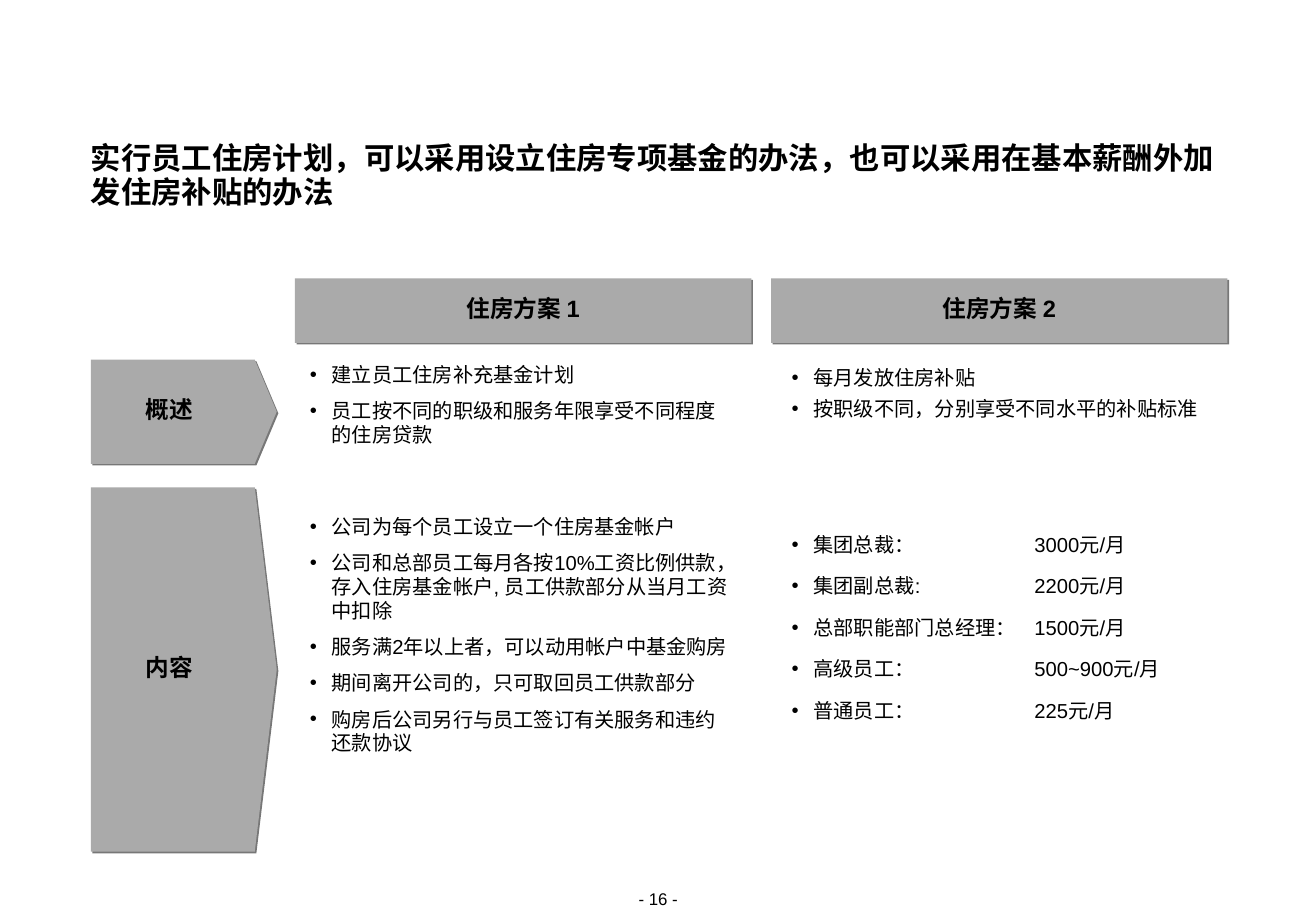
from dataclasses import dataclass

from lxml.etree import SubElement
from pptx import Presentation
from pptx.dml.color import RGBColor
from pptx.enum.shapes import MSO_SHAPE
from pptx.enum.text import MSO_ANCHOR, MSO_AUTO_SIZE, PP_ALIGN
from pptx.oxml.ns import qn
from pptx.shapes.autoshape import Shape
from pptx.slide import Slide
from pptx.text.text import TextFrame
from pptx.util import Cm, Length, Pt

FONT = "Arial"
BLACK, PANEL_GREY, SHADOW_GREY = "000000", "AAAAAA", "777777"
LEFT_MARGIN = 1.9
HEADER_TOP, HEADER_WIDTH, HEADER_HEIGHT = 5.82, 9.55, 1.35
ROW_WIDTH, ROW_TIP = 3.89, 0.46
LIST_WIDTH, LIST_INDENT, AMOUNT_TAB = 8.92, 0.46, 5.08


@dataclass(frozen=True)
class PlanHeader:
    text: str
    left: float


@dataclass(frozen=True)
class RowLabel:
    text: str
    top: float
    height: float


@dataclass(frozen=True)
class BulletList:
    placeholder: int
    left: float
    top: float
    height: float
    space_before: float
    items: tuple[str, ...]
    line_spacing: Length | float = Pt(14)
    anchor: MSO_ANCHOR = MSO_ANCHOR.MIDDLE


HEADERS = (PlanHeader("住房方案 1", 6.17), PlanHeader("住房方案 2", 16.13))
ROWS = (RowLabel("概述", 7.52, 2.18), RowLabel("内容", 10.19, 7.62))
LISTS = (
    BulletList(1, 6.48, 7.59, 1.75, 7.5, (
        "建立员工住房补充基金计划",
        "员工按不同的职级和服务年限享受不同程度的住房贷款",
    )),
    BulletList(3, 16.56, 7.65, 1.14, 4.5, (
        "每月发放住房补贴",
        "按职级不同，分别享受不同水平的补贴标准",
    )),
    BulletList(2, 6.48, 10.77, 5.49, 7.5, (
        "公司为每个员工设立一个住房基金帐户",
        "公司和总部员工每月各按10%工资比例供款，存入住房基金帐户, 员工供款部分从当月工资中扣除",
        "服务满2年以上者，可以动用帐户中基金购房",
        "期间离开公司的，只可取回员工供款部分",
        "购房后公司另行与员工签订有关服务和违约还款协议",
    ), anchor=MSO_ANCHOR.TOP),
    BulletList(4, 16.56, 10.92, 4.19, 4.5, (
        "集团总裁：\t3000元/月",
        "集团副总裁:\t2200元/月",
        "总部职能部门总经理：\t1500元/月",
        "高级员工：\t500~900元/月",
        "普通员工：\t225元/月",
    ), line_spacing=1.4, anchor=MSO_ANCHOR.TOP),
)


def colour(value: str) -> RGBColor:
    return RGBColor.from_string(value)


def place(shape: Shape, left: float, top: float, width: float, height: float) -> None:
    shape.left, shape.top = Cm(left), Cm(top)
    shape.width, shape.height = Cm(width), Cm(height)


def write(frame: TextFrame, *texts: str, size: float, bold: bool = False,
          align: PP_ALIGN = PP_ALIGN.LEFT, anchor: MSO_ANCHOR = MSO_ANCHOR.TOP,
          line_spacing: Length | float = 1.0, space_before: float = 0,
          bullets: bool = False, right_inset: float = 0) -> None:
    """Fill a frame with one paragraph per text, all in one format."""
    frame.word_wrap = True
    frame.auto_size = MSO_AUTO_SIZE.NONE
    frame.vertical_anchor = anchor
    frame.margin_left = frame.margin_top = frame.margin_bottom = 0
    frame.margin_right = Cm(right_inset)
    for index, text in enumerate(texts):
        paragraph = frame.add_paragraph() if index else frame.paragraphs[0]
        paragraph.alignment = align
        paragraph.line_spacing = line_spacing
        paragraph.space_before = Pt(space_before if index else 0)
        if bullets:
            add_bullet(paragraph._p.get_or_add_pPr(), "\t" in text)
        run = paragraph.add_run()
        run.text = text
        run.font.name = FONT
        run.font.size = Pt(size)
        run.font.bold = bold
        run.font.color.rgb = colour(BLACK)


def add_bullet(properties, with_tab: bool) -> None:
    properties.set("marL", str(Cm(LIST_INDENT)))
    properties.set("indent", str(-Cm(LIST_INDENT)))
    bullet_colour = SubElement(properties, qn("a:buClr"))
    SubElement(bullet_colour, qn("a:srgbClr"), val=BLACK)
    SubElement(properties, qn("a:buFont"), typeface=FONT)
    SubElement(properties, qn("a:buChar"), char="•")
    if with_tab:
        tabs = SubElement(properties, qn("a:tabLst"))
        SubElement(tabs, qn("a:tab"), pos=str(Cm(AMOUNT_TAB)), algn="l")


def style_panel(shape: Shape, text: str, right_inset: float = 0) -> None:
    """Give a grey panel its fill, hard shadow and bold centred label."""
    shape.fill.solid()
    shape.fill.fore_color.rgb = colour(PANEL_GREY)
    shape.line.fill.background()
    shape.shadow.inherit = False
    effects = shape._element.spPr.find(qn("a:effectLst"))
    shadow = SubElement(effects, qn("a:outerShdw"), dist=str(Pt(1.4)),
                        dir="2700000", algn="ctr", rotWithShape="0")
    SubElement(shadow, qn("a:srgbClr"), val=SHADOW_GREY)
    write(shape.text_frame, text, size=14, bold=True, align=PP_ALIGN.CENTER,
          anchor=MSO_ANCHOR.MIDDLE, line_spacing=Pt(14), right_inset=right_inset)


def add_header(slide: Slide, header: PlanHeader) -> None:
    shape = slide.shapes.add_shape(
        MSO_SHAPE.RECTANGLE, Cm(header.left), Cm(HEADER_TOP),
        Cm(HEADER_WIDTH), Cm(HEADER_HEIGHT))
    style_panel(shape, header.text)


def add_row_label(slide: Slide, row: RowLabel) -> None:
    right = LEFT_MARGIN + ROW_WIDTH
    shoulder, bottom = right - ROW_TIP, row.top + row.height
    outline = slide.shapes.build_freeform(Cm(LEFT_MARGIN), Cm(row.top))
    corners = ((shoulder, row.top), (right, row.top + row.height / 2),
               (shoulder, bottom), (LEFT_MARGIN, bottom))
    outline.add_line_segments([(Cm(x), Cm(y)) for x, y in corners], close=True)
    style_panel(outline.convert_to_shape(), row.text, right_inset=0.6)


def fill_list(slide: Slide, bullet_list: BulletList) -> None:
    shape = slide.placeholders[bullet_list.placeholder]
    place(shape, bullet_list.left, bullet_list.top, LIST_WIDTH, bullet_list.height)
    write(shape.text_frame, *bullet_list.items, size=12, bullets=True,
          anchor=bullet_list.anchor, line_spacing=bullet_list.line_spacing,
          space_before=bullet_list.space_before)


def main() -> None:
    presentation = Presentation()
    presentation.slide_width, presentation.slide_height = Cm(27.53), Cm(19.05)
    comparison_layout = presentation.slide_layouts[4]
    slide = presentation.slides.add_slide(comparison_layout)

    title = slide.shapes.title
    place(title, LEFT_MARGIN, 2.97, 23.7, 1.42)
    write(title.text_frame,
          "实行员工住房计划，可以采用设立住房专项基金的办法，也可以采用在基本薪酬外加发住房补贴的办法",
          size=18, bold=True, line_spacing=Pt(20))
    for header in HEADERS:
        add_header(slide, header)
    for row in ROWS:
        add_row_label(slide, row)
    for bullet_list in LISTS:
        fill_list(slide, bullet_list)

    page_number = slide.shapes.add_textbox(Cm(12.32), Cm(18.59), Cm(2.9), Cm(0.43))
    write(page_number.text_frame, "- 16 -", size=10, align=PP_ALIGN.CENTER)
    presentation.save("out.pptx")


if __name__ == "__main__":
    main()
